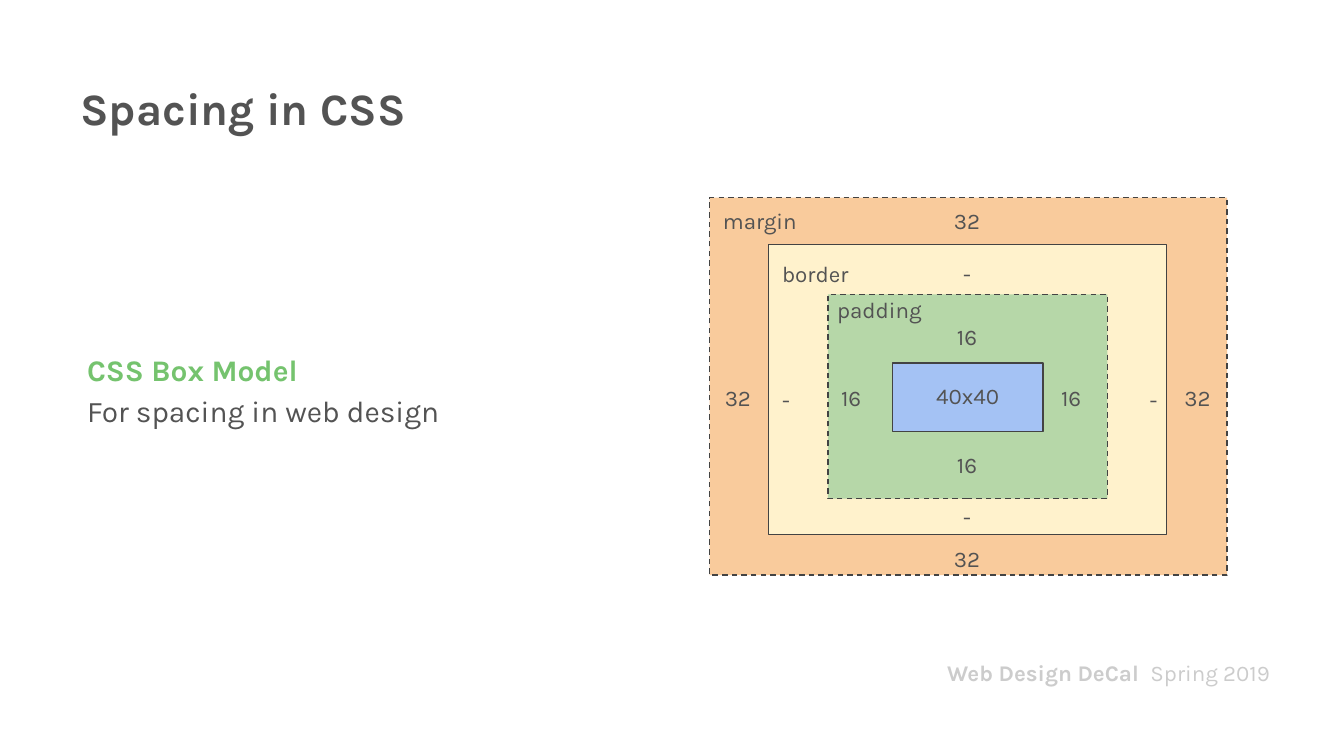
"""Build the CSS box model slide."""
from dataclasses import dataclass

from pptx import Presentation
from pptx import util as u
from pptx.dml import color
from pptx.enum import dml, shapes, text

PX = u.Inches(1) // 100
SLIDE_WIDTH = 1000 * PX
LEFT, CENTER, RIGHT = text.PP_ALIGN.LEFT, text.PP_ALIGN.CENTER, text.PP_ALIGN.RIGHT
TOP, MIDDLE = text.MSO_ANCHOR.TOP, text.MSO_ANCHOR.MIDDLE


@dataclass(frozen=True)
class Theme:
    """Colours and type sizes of the deck."""
    font: str = "Karla"
    ink: str = "535353"
    accent: str = "75C36E"
    muted: str = "CCCCCC"
    outline: str = "434343"
    margin: str = "F9CB9C"
    border: str = "FFF2CC"
    padding: str = "B6D7A8"
    content: str = "A4C2F4"
    title: int = 24
    body: int = 16
    label: int = 12


@dataclass(frozen=True)
class Ring:
    """One layer of the box model, placed relative to the diagram."""
    name: str
    box: tuple
    fill: str
    dashed: bool
    value: str
    name_at: tuple
    rows: tuple
    sides: tuple


THEME = Theme()
LABEL_WIDTH, SIDE_WIDTH, LABEL_HEIGHT = 95, 58, 27
RINGS = (
    Ring("margin", (0, 0, 385, 281), THEME.margin, True, "32", (0, 4), (4, 135, 255),
         ((-8, SIDE_WIDTH, CENTER), (334, SIDE_WIDTH, CENTER))),
    Ring("border", (44, 35, 296, 216), THEME.border, False, "-", (44, 43), (43, 137, 224),
         ((44, LABEL_WIDTH, LEFT), (248, LABEL_WIDTH, RIGHT))),
    Ring("padding", (88, 72, 208, 152), THEME.padding, True, "16", (85, 70), (90, 135, 185),
         ((88, SIDE_WIDTH, LEFT), (240, SIDE_WIDTH, CENTER))),
)
CONTENT_BOX = (136, 123, 112, 51)


def emu(box):
    """Turn px lengths into EMU."""
    return [length * PX for length in box]


def apply(target, values):
    """Set the attributes of an object from a dict."""
    for name, value in values.items():
        setattr(target, name, value)


def add_text(parent, box, spans, size, align=LEFT, anchor=MIDDLE, inset=10, spacing=None):
    """Add a text box whose spans are (wording, colour, bold)."""
    frame = parent.shapes.add_textbox(*emu(box)).text_frame
    sides = ("margin_left", "margin_top", "margin_right", "margin_bottom")
    apply(frame, {"word_wrap": True, "vertical_anchor": anchor,
                  **dict.fromkeys(sides, inset * PX)})
    para = frame.paragraphs[0]
    apply(para, {"alignment": align, "line_spacing": spacing})
    for wording, tint, bold in spans:
        if wording == "\n":
            para.add_line_break()
            continue
        span = para.add_run()
        span.text = wording
        apply(span.font, {"name": THEME.font, "size": u.Pt(size), "bold": bold})
        span.font.color.rgb = color.RGBColor.from_string(tint)


def add_rectangle(parent, box, fill, dashed):
    """Add an outlined rectangle."""
    shape = parent.shapes.add_shape(shapes.MSO_SHAPE.RECTANGLE, *emu(box))
    shape.shadow.inherit = False
    shape.fill.solid()
    shape.fill.fore_color.rgb = color.RGBColor.from_string(fill)
    shape.line.color.rgb = color.RGBColor.from_string(THEME.outline)
    shape.line.width = u.Pt(0.75)
    if dashed:
        shape.line.dash_style = dml.MSO_LINE.DASH


def add_footer(page, box):
    """Add the course name and term."""
    spans = [("Web Design DeCal  ", THEME.muted, True), ("Spring 2019", THEME.muted, False)]
    add_text(page, box, spans, THEME.label, align=RIGHT, inset=0)


def add_title(page, box):
    """Add the slide title."""
    add_text(page, box, [("Spacing in CSS", THEME.ink, True)], THEME.title, anchor=TOP)


def add_body(page, box):
    """Add the topic and its description."""
    spans = [("CSS Box Model", THEME.accent, True), ("\n", None, None),
             ("For spacing in web design", THEME.ink, False)]
    add_text(page, box, spans, THEME.body, spacing=1.15)


def add_box_model(page, box):
    """Add the nested layers with their names and values."""
    left, top, width, _ = box
    group = page.shapes.add_group_shape()

    def rectangle(area, fill, dashed):
        """Place a rectangle relative to the diagram."""
        x, y, w, h = area
        add_rectangle(group, (left + x, top + y, w, h), fill, dashed)

    def label(wording, x, y, w, align=CENTER):
        """Place a label relative to the diagram."""
        add_text(group, (left + x, top + y, w, LABEL_HEIGHT),
                 [(wording, THEME.ink, False)], THEME.label, align)

    for ring in RINGS:
        rectangle(ring.box, ring.fill, ring.dashed)
    rectangle(CONTENT_BOX, THEME.content, False)

    middle = (width - LABEL_WIDTH) // 2 - 1
    for ring in RINGS:
        label(ring.name, *ring.name_at, 112, LEFT)
        upper, side, lower = ring.rows
        for y in (upper, lower):
            label(ring.value, middle, y, LABEL_WIDTH)
        for x, w, align in ring.sides:
            label(ring.value, x, side, w, align)
    x, y, w, h = CONTENT_BOX
    label("40x40", x, y + (h - LABEL_HEIGHT) // 2 - 1, w)


def main():
    """Build and save the deck."""
    deck = Presentation()
    apply(deck, {"slide_width": SLIDE_WIDTH, "slide_height": SLIDE_WIDTH * 9 // 16})
    page = deck.slides.add_slide(deck.slide_layouts[6])
    add_footer(page, (655, 488, 290, 25))
    add_title(page, (50, 50, 900, 50))
    add_body(page, (55, 113, 290, 350))
    add_box_model(page, (528, 147, 385, 281))
    deck.save("out.pptx")


if __name__ == "__main__":
    main()
